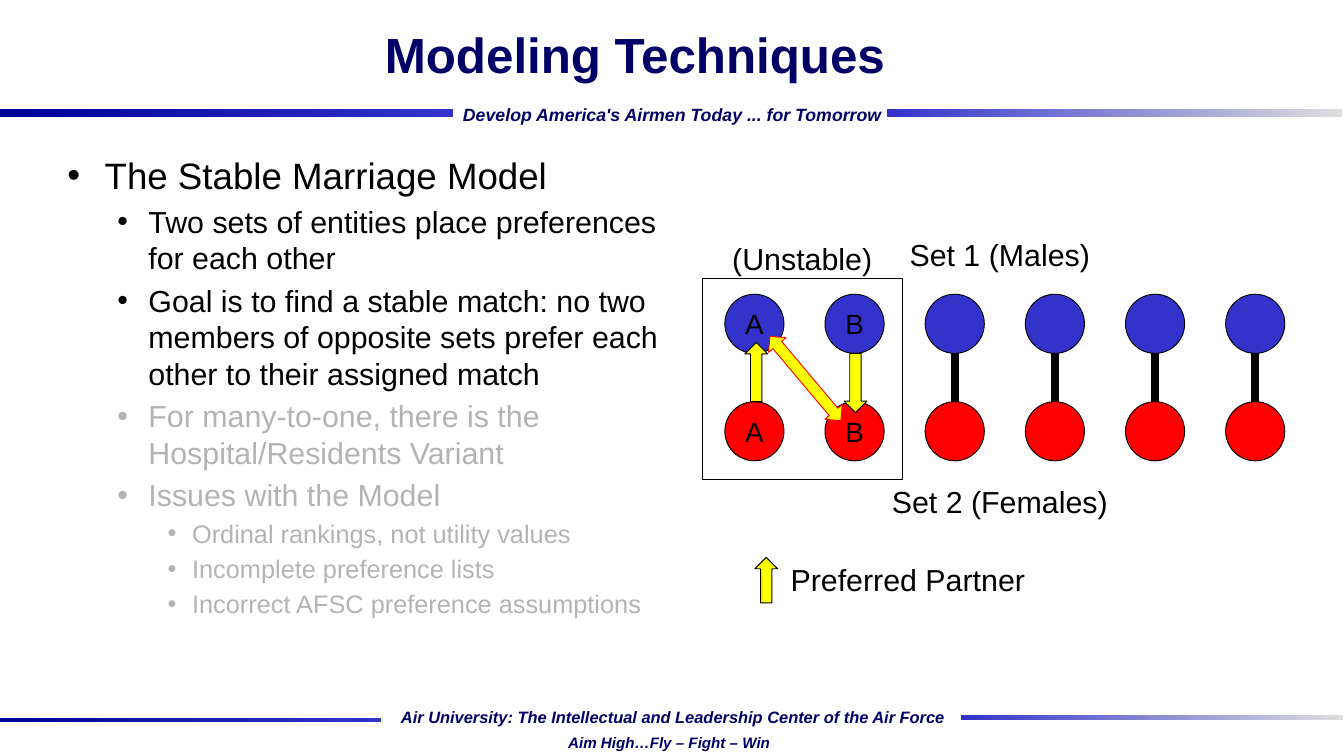
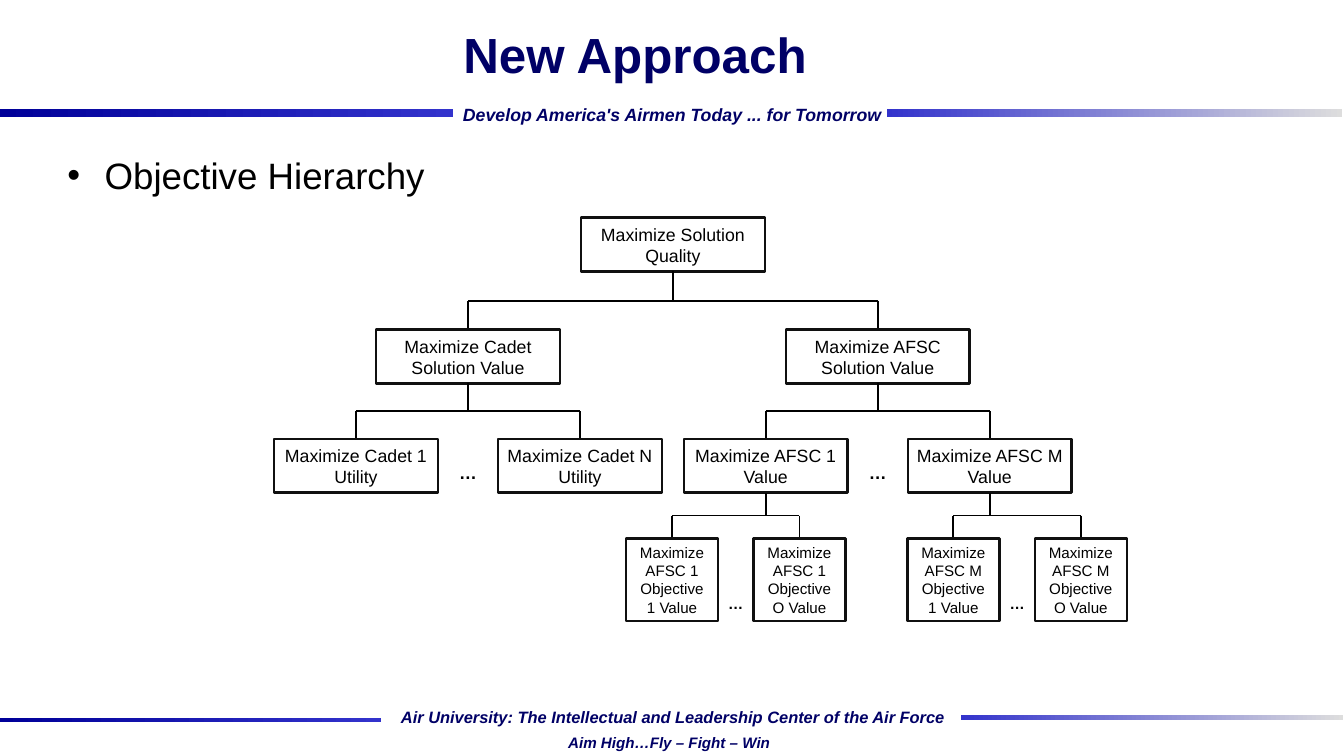
from dataclasses import dataclass

from pptx import Presentation
from pptx import util as u
from pptx.dml.color import RGBColor
from pptx.enum import shapes, text
from pptx.oxml import parse_xml
from pptx.oxml.ns import nsdecls

SHAPE = shapes.MSO_SHAPE
CENTER = text.PP_ALIGN.CENTER
MIDDLE = text.MSO_ANCHOR.MIDDLE


@dataclass(frozen=True)
class Theme:
    font: str = "Arial"
    navy: str = "000066"
    band_dark: str = "000099"
    blue: str = "3333CC"
    band_light: str = "DDDDDD"
    black: str = "000000"
    muted: str = "B3B3B3"
    red: str = "FF0000"
    yellow: str = "FFFF00"
    border: str = "101010"
    title: int = 39
    bullets: tuple = (29, 24, 20)
    label: int = 24
    letter: int = 22
    motto: int = 14
    footer: int = 13
    slogan: int = 12


T = Theme()
# Left margin and hanging indent of each bullet level
INDENTS = ((0.41, 0.41), (0.89, 0.34), (1.37, 0.27))
TITLE_BOX = (1.26, 0, 11.43, 1.17)
BODY_BOX = (0.63, 1.63, 13.51, 6.02)


@dataclass(frozen=True)
class Level:
    """Box size, type size and half the distance between sibling boxes."""
    top: float
    w: float
    h: float
    size: int
    spread: float = 0
    dots_drop: float = 0


LEVELS = (
    Level(2.39, 2.02, 0.59, 14),
    Level(3.62, 2.02, 0.59, 14, 2.25),
    Level(4.82, 1.8, 0.59, 14, 1.23, 0.37),
    Level(5.91, 1.01, 0.91, 12, 0.7, 0.72),
)


@dataclass(frozen=True)
class Node:
    label: str
    children: tuple = ()
    shift: float = 0  # offset of the children from the parent's centre


def afsc_branch(name, shift):
    leaves = tuple(Node(f"Maximize AFSC {name} Objective {o} Value") for o in "1O")
    return Node(f"Maximize AFSC {name} Value", leaves, shift)


HIERARCHY = Node("Maximize Solution Quality", (
    Node("Maximize Cadet Solution Value",
         tuple(Node(f"Maximize Cadet {c} Utility") for c in "1N")),
    Node("Maximize AFSC Solution Value",
         (afsc_branch("1", -0.33), afsc_branch("M", 0.3))),
))

MODEL_POINTS = (
    (0, "The Stable Marriage Model", T.black),
    (1, "Two sets of entities place preferences for each other", T.black),
    (1, "Goal is to find a stable match: no two members of opposite sets "
        "prefer each other to their assigned match", T.black),
    (1, "For many-to-one, there is the Hospital/Residents Variant", T.muted),
    (1, "Issues with the Model", T.muted),
    (2, "Ordinal rankings, not utility values", T.muted),
    (2, "Incomplete preference lists", T.muted),
    (2, "Incorrect AFSC preference assumptions", T.muted),
)


def rgb(value):
    return RGBColor.from_string(value)


def inches(box):
    return [u.Inches(v) for v in box]


def place(sp, box):
    sp.left, sp.top, sp.width, sp.height = inches(box)


def style(p, size, color=T.black, bold=False, italic=False):
    for r in p.runs:
        f = r.font
        f.name, f.size, f.bold, f.italic = T.font, u.Pt(size), bold, italic
        f.color.rgb = rgb(color)


def write_centered(sp, words, size, **look):
    tf = sp.text_frame
    tf.vertical_anchor = MIDDLE
    p = tf.paragraphs[0]
    p.text = words
    p.alignment = CENTER
    style(p, size, **look)


def add_label(s, box, words, size, **look):
    sp = s.shapes.add_textbox(*inches(box))
    sp.text_frame.word_wrap = False
    write_centered(sp, words, size, **look)
    return sp


def add_box(s, kind, box, fill=None, line=T.black, width=0.75):
    sp = s.shapes.add_shape(kind, *inches(box))
    sp.shadow.inherit = False
    if fill:
        sp.fill.solid()
        sp.fill.fore_color.rgb = rgb(fill)
    else:
        sp.fill.background()
    sp.line.color.rgb = rgb(line)
    sp.line.width = u.Pt(width)
    return sp


def add_line(s, x1, y1, x2, y2, width):
    cx = s.shapes.add_connector(shapes.MSO_CONNECTOR.STRAIGHT,
                                *inches((x1, y1, x2, y2)))
    cx.line.color.rgb = rgb(T.black)
    cx.line.width = u.Pt(width)
    cx.element.spPr.append(parse_xml(f"<a:effectLst {nsdecls('a')}/>"))


def add_band(s, box, start, end):
    sp = s.shapes.add_shape(SHAPE.RECTANGLE, *inches(box))
    sp.shadow.inherit = False
    sp.line.fill.background()
    sp.fill.gradient()
    sp.fill.gradient_angle = 0
    for stop, color, pos in zip(sp.fill.gradient_stops, (start, end), (0, 1)):
        stop.color.rgb = rgb(color)
        stop.position = pos
    return sp


def brand_layout(layout, s):
    """Draws bands and mottos on s and moves them to its layout."""
    place(layout.placeholders[0], TITLE_BOX)
    place(layout.placeholders[1], BODY_BOX)
    motto = dict(color=T.navy, bold=True, italic=True)
    parts = (
        # Header
        add_band(s, (9.74, 1.2, 5, 0.09), T.blue, T.band_light),
        add_band(s, (-0.02, 1.2, 5, 0.09), T.band_dark, T.blue),
        add_label(s, (4.97, 1.09, 4.83, 0.34),
                  "Develop America's Airmen Today ... for Tomorrow", T.motto, **motto),
        # Footer
        add_band(s, (-0.02, 7.88, 4.2, 0.05), T.band_dark, T.blue),
        add_band(s, (10.55, 7.85, 4.2, 0.05), T.blue, T.band_light),
        add_label(s, (4.26, 7.72, 6.25, 0.31),
                  "Air University: The Intellectual and Leadership Center of the Air Force",
                  T.footer, **motto),
        add_label(s, (6.11, 8.01, 2.48, 0.29), "Aim High…Fly – Fight – Win",
                  T.slogan, **motto),
    )
    for number, sp in enumerate(parts, 100):
        sp.element.nvSpPr.cNvPr.id = number
        layout.shapes.element.append(sp.element)


def fill_title(s, words):
    title = s.shapes.title
    write_centered(title, words, T.title, color=T.navy, bold=True)


def fill_body(s, points, box=BODY_BOX):
    body = s.placeholders[1]
    place(body, box)
    tf = body.text_frame
    tf.auto_size = text.MSO_AUTO_SIZE.NONE
    tf.margin_left = tf.margin_right = u.Inches(0.11)
    for i, (level, words, color) in enumerate(points):
        p = tf.add_paragraph() if i else tf.paragraphs[0]
        p.text = words
        p.level = level
        size = T.bullets[level]
        p.space_before = u.Pt(round(size * 0.2, 1) if i else 0)
        margin, hang = INDENTS[level]
        pPr = p._p.get_or_add_pPr()
        pPr.set("marL", str(u.Inches(margin)))
        pPr.set("indent", str(-u.Inches(hang)))
        pPr.append(parse_xml(f'<a:buChar {nsdecls("a")} char="•"/>'))
        style(p, size, color)


def matching_diagram(s, x, y):
    """Six pairs; x, y is the corner of the frame round the unstable pairs."""
    d, pitch, drop = 0.65, 1.1, 1.18
    left, top = x + 0.25, y + 0.17
    # Pairs
    for i, letter in enumerate(("A", "B", "", "", "", "")):
        cx = left + i * pitch
        if not letter:
            add_line(s, cx + d / 2, top + d, cx + d / 2, top + drop, 6)
        for cy, color in ((top, T.blue), (top + drop, T.red)):
            circle = add_box(s, SHAPE.OVAL, (cx, cy, d, d), color)
            if letter:
                tf = circle.text_frame
                tf.margin_left = tf.margin_right = tf.margin_top = tf.margin_bottom = 0
                write_centered(circle, letter, T.letter)
    # Preference arrows and frame
    both = add_box(s, SHAPE.UP_DOWN_ARROW, (x + 1.01, y + 0.49, 0.25, 1.21),
                   T.yellow, T.red)
    both.rotation = 319.9
    add_box(s, SHAPE.UP_ARROW, (x + 0.47, y + 0.7, 0.25, 0.65), T.yellow)
    add_box(s, SHAPE.DOWN_ARROW, (x + 1.56, y + 0.82, 0.25, 0.65), T.yellow)
    add_box(s, SHAPE.RECTANGLE, (x, y, 2.2, 2.2))
    # Labels and key
    add_box(s, SHAPE.UP_ARROW, (x + 0.58, y + 3.06, 0.25, 0.5), T.yellow)
    for dx, dy, w, words in ((0.22, -0.47, 1.76, "(Unstable)"),
                             (2.17, -0.52, 2.2, "Set 1 (Males)"),
                             (1.97, 2.2, 2.6, "Set 2 (Females)"),
                             (0.86, 3.05, 2.8, "Preferred Partner")):
        add_label(s, (x + dx, y + dy, w, 0.5), words, T.label)


def draw_hierarchy(s, node, cx, depth=0):
    """Draws a node centred on cx and, below it, its children."""
    lv = LEVELS[depth]
    sp = add_box(s, SHAPE.RECTANGLE, (cx - lv.w / 2, lv.top, lv.w, lv.h),
                 line=T.border, width=2)
    sp.text_frame.word_wrap = True
    write_centered(sp, node.label, lv.size)
    if not node.children:
        return
    below = LEVELS[depth + 1]
    bottom = lv.top + lv.h
    bus = (bottom + below.top) / 2
    middle = cx + node.shift
    ends = (middle - below.spread, middle + below.spread)
    # Stem, bus and drops
    add_line(s, cx, bottom, cx, bus, 1.5)
    add_line(s, ends[0], bus, ends[1], bus, 1.5)
    for child, child_x in zip(node.children, ends):
        add_line(s, child_x, bus, child_x, below.top, 1.5)
        draw_hierarchy(s, child, child_x, depth + 1)
    if below.dots_drop:
        add_label(s, (middle - 0.25, below.top + below.dots_drop - 0.17, 0.5, 0.34),
                  "…", below.size, bold=True)


def main():
    prs = Presentation()
    prs.slide_width, prs.slide_height = inches((14.76, 8.3))
    layout = prs.slide_layouts[1]

    # Stable marriage model
    s = prs.slides.add_slide(layout)
    brand_layout(layout, s)
    fill_title(s, "Modeling Techniques")
    fill_body(s, MODEL_POINTS, (0.63, 1.63, 7.06, 6.02))
    matching_diagram(s, 7.71, 3.06)

    # Objective hierarchy
    s = prs.slides.add_slide(layout)
    fill_title(s, "New Approach")
    fill_body(s, ((0, "Objective Hierarchy", T.black),))
    draw_hierarchy(s, HIERARCHY, 7.39)

    prs.save("out.pptx")


if __name__ == "__main__":
    main()
